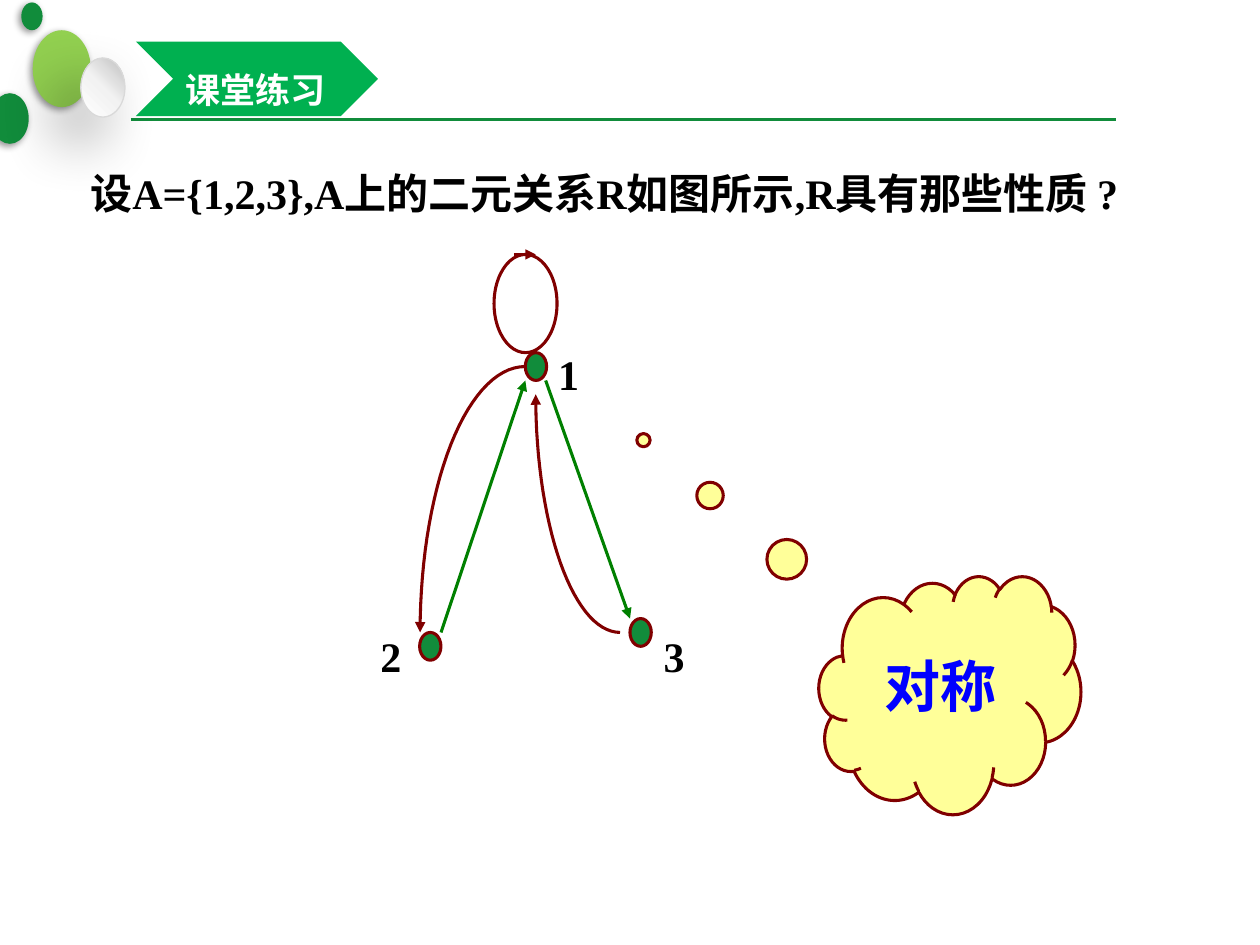
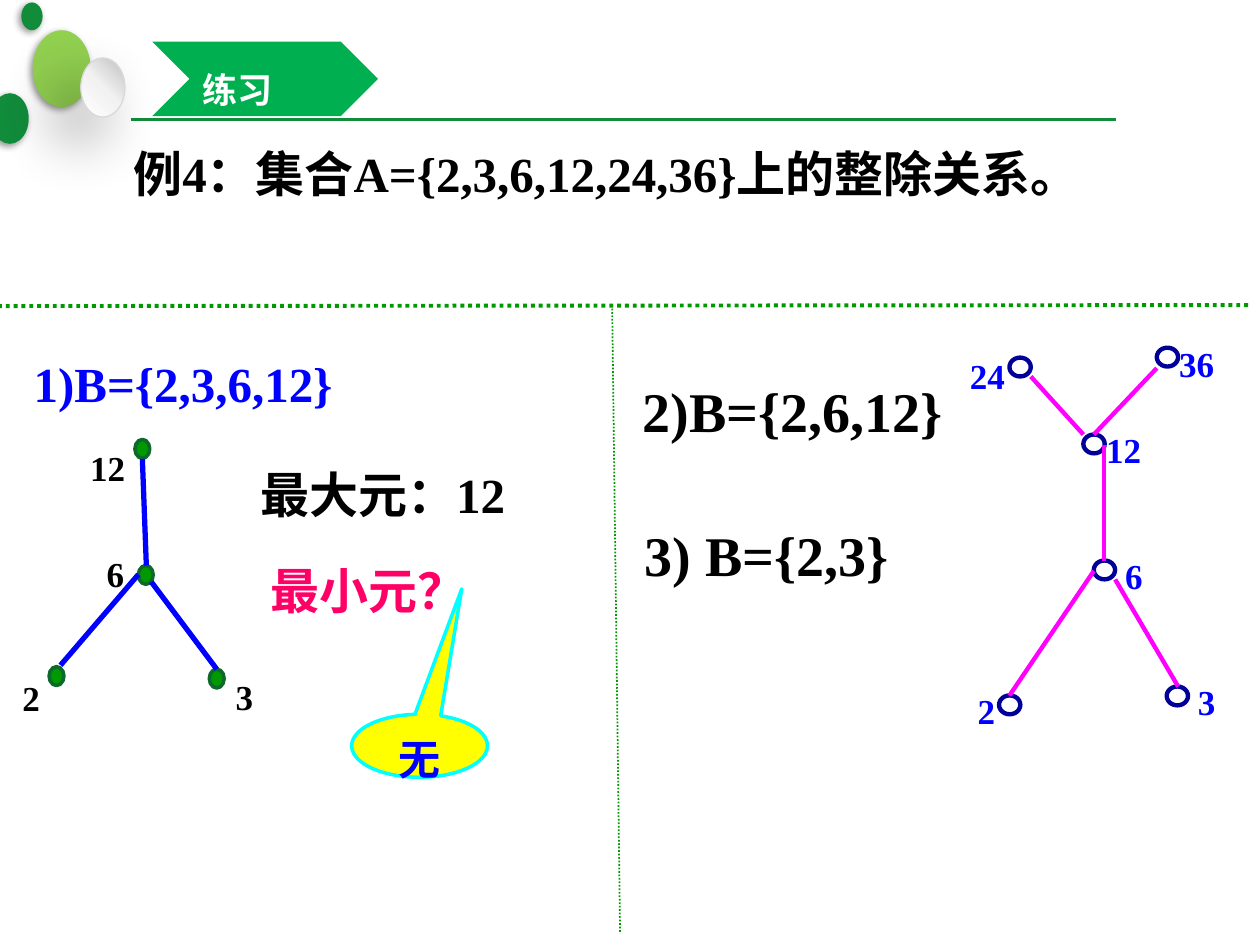
import math

import lxml.etree
import pptx
import pptx.dml.color
import pptx.enum.dml
import pptx.enum.shapes
import pptx.enum.text
import pptx.oxml
import pptx.oxml.ns
import pptx.util

Cm = pptx.util.Cm
qn = pptx.oxml.ns.qn
SHAPE = pptx.enum.shapes.MSO_SHAPE
STRAIGHT = pptx.enum.shapes.MSO_CONNECTOR.STRAIGHT
ALIGN = pptx.enum.text.PP_ALIGN
ANCHOR = pptx.enum.text.MSO_ANCHOR
DOTS = pptx.enum.dml.MSO_LINE.ROUND_DOT

HUES = {
    "black": "000000", "white": "FFFFFF", "blue": "0000FF", "navy": "000099",
    "green": "118C3B", "lime": "92D050", "banner": "00B050", "arrow": "008000",
    "dots": "009900", "forest": "0D682C", "maroon": "800000", "cream": "FFFF99",
    "yellow": "FFFF00", "cyan": "00FFFF", "pink": "FF0066", "magenta": "FF00FF",
    "silver": "D9D9D9", "pale": "F2F2F2", "gray": "BFBFBF",
}
SERIF, SANS = "Times New Roman", "Noto Sans CJK SC"
TINT = {name: pptx.dml.color.RGBColor.from_string(hue) for name, hue in HUES.items()}


def paint(item, fill=None, line=None, width=1.75, dash=None, tail=False):
    """Set fill, outline and arrowhead of a shape or connector, without shadow."""
    if hasattr(item, "fill"):
        if fill:
            item.fill.solid()
            item.fill.fore_color.rgb = TINT[fill]
        else:
            item.fill.background()
    if line:
        item.line.color.rgb = TINT[line]
        item.line.width = pptx.util.Pt(width)
        if dash:
            item.line.dash_style = dash
    else:
        item.line.fill.background()
    props = item.element.spPr
    if tail:
        lxml.etree.SubElement(props.find(qn("a:ln")), qn("a:tailEnd"), type="triangle")
    lxml.etree.SubElement(props, qn("a:effectLst"))
    return item


def write(item, text, size, hue="black", face=SERIF, align=ALIGN.LEFT,
          anchor=ANCHOR.TOP, wrap=True):
    """Fill a shape with one bold line of text at 1.5 line spacing."""
    frame = item.text_frame
    looks = {"word_wrap": wrap, "vertical_anchor": anchor,
             "auto_size": pptx.enum.text.MSO_AUTO_SIZE.NONE}
    for name, value in looks.items():
        setattr(frame, name, value)
    para = frame.paragraphs[0]
    para.alignment = align
    para.line_spacing = 1.5
    para.space_before = pptx.util.Pt(0)
    run = para.add_run()
    run.text = text
    for name, value in {"name": face, "size": pptx.util.Pt(size), "bold": True}.items():
        setattr(run.font, name, value)
    run.font.color.rgb = TINT[hue]
    for props in item.element.iter(qn("a:rPr")):
        lxml.etree.SubElement(props, qn("a:ea"), typeface=SANS)


deck = pptx.Presentation()
deck.slide_width, deck.slide_height = Cm(25.4), Cm(19.05)
layout = deck.slide_layouts[5]
graph, order = [deck.slides.add_slide(layout) for _ in range(2)]

# Shared decoration, moved to the layout
rule = graph.shapes.add_connector(STRAIGHT, *map(Cm, (2.64, 2.41, 22.5, 2.41)))
layout.shapes.element.append(paint(rule, line="green", width=1.25).element)
balls = [
    ((0.66, 0.61, 1.17, 1.55), "lime", None, 4, 2),
    ((-0.18, 1.88, 0.76, 1.02), "green", None, 4, 2),
    ((1.63, 1.17, 0.89, 1.19), "white", "silver", 35, 20),
    ((0.43, 0.05, 0.43, 0.56), "green", None, 4, 2),
]
for box, fill, line, blur, dist in balls:
    ball = graph.shapes.add_shape(SHAPE.OVAL, *map(Cm, box))
    paint(ball, fill, line, 0.75)
    if fill == "white":
        ball.fill.gradient()
        ball.fill.gradient_angle = 45
        stops = ball.element.spPr.find(qn("a:gradFill")).find(qn("a:gsLst"))
        stops.clear()
        for spot, hue in ((0, "white"), (50, "pale"), (100, "gray")):
            stop = lxml.etree.SubElement(stops, qn("a:gs"), pos=str(spot * 1000))
            lxml.etree.SubElement(stop, qn("a:srgbClr"), val=HUES[hue])
    shade = lxml.etree.SubElement(
        ball.element.spPr.find(qn("a:effectLst")), qn("a:outerShdw"),
        blurRad=str(pptx.util.Pt(blur)), dist=str(pptx.util.Pt(dist)),
        dir=str(135 * 60000), algn="ctr", rotWithShape="0")
    tone = lxml.etree.SubElement(shade, qn("a:srgbClr"), val=HUES["black"])
    lxml.etree.SubElement(tone, qn("a:alpha"), val="40000")
    layout.shapes.element.append(ball.element)

# Banner titles
notch = 0.75
for slide, text, left, width in ((graph, "课堂练习", 2.74, 4.88), (order, "练习", 3.07, 4.55)):
    banner = slide.shapes.add_shape(SHAPE.CHEVRON, *map(Cm, (left, 0.84, width, 1.5)))
    slide.shapes.element.insert(2, paint(banner, "banner").element)
    title = slide.shapes.title
    place = {"left": left + notch, "top": 0.84, "width": width - notch, "height": 1.5}
    for name, value in place.items():
        setattr(title, name, Cm(value))
    write(title, text, 20, "white", SANS, anchor=ANCHOR.MIDDLE)

# Slide 1: relation graph
shapes = graph.shapes
ask = shapes.add_textbox(*map(Cm, (1.57, 2.74, 23.2, 1.8)))
write(ask, "设A={1,2,3},A上的二元关系R如图所示,R具有那些性质 ?", 24)
dots = [
    ("1", 10.59, 7.11, 11, 6.4),
    ("2", 8.46, 12.75, 7.42, 12.07),
    ("3", 12.7, 12.47, 13.13, 12.07),
]
for name, x, y, left, top in dots:
    dot = shapes.add_shape(SHAPE.OVAL, *map(Cm, (x, y, 0.43, 0.56)))
    paint(dot, "green", "maroon")
    label = shapes.add_textbox(*map(Cm, (left, top, 0.94, 1.8)))
    write(label, name, 24, wrap=False)

loop = shapes.add_shape(SHAPE.OVAL, *map(Cm, (9.96, 5.13, 1.27, 1.98)))
paint(loop, line="maroon")
arrows = [
    ((8.89, 12.75, 10.59, 7.67), "arrow"),
    ((11, 7.67, 12.7, 12.47), "arrow"),
    ((10.36, 5.13, 10.8, 5.13), "maroon"),
]
for ends, hue in arrows:
    paint(shapes.add_connector(STRAIGHT, *map(Cm, ends)), line=hue, tail=True)

# Quarter ellipses: centre, then horizontal and signed vertical radius
steps = 30
for x, y, wide, high in ((12.5, 7.95, 1.7, 4.8), (10.59, 12.75, 2.12, -5.36)):
    turns = [math.pi / 2 * step / steps for step in range(steps + 1)]
    points = [(Cm(x - wide * math.sin(turn)), Cm(y + high * math.cos(turn)))
              for turn in turns]
    pen = shapes.build_freeform(*points[0])
    pen.add_line_segments(points[1:], close=False)
    paint(pen.convert_to_shape(), line="maroon", tail=True)

cloud = shapes.add_shape(SHAPE.CLOUD_CALLOUT, *map(Cm, (16.51, 11.61, 5.28, 4.8)))
cloud.adjustments[0], cloud.adjustments[1] = -1.17, -1.07
paint(cloud, "cream", "maroon")
write(cloud, "对称", 32, "blue", "Arial", ALIGN.CENTER)

# Slide 2: divisibility order
shapes = order.shapes
lines = [
    ("例4：集合A={2,3,6,12,24,36}上的整除关系。", 28, "black", (2.44, 2.18, 19.79, 2.06), False),
    ("1)B={2,3,6,12}", 28, "blue", (0.43, 6.4, 6.6, 2.06), False),
    ("最大元：12", 28, "black", (5, 8.64, 6.78, 2.06), True),
    ("最小元？", 28, "pink", (5.21, 10.59, 4.72, 2.06), True),
    ("2)B={2,6,12}", 32, "black", (12.7, 6.78, 8.51, 2.29), True),
    ("3) B={2,3}", 32, "black", (12.75, 9.7, 6.35, 2.29), True),
]
for text, size, hue, box, wrap in lines:
    write(shapes.add_textbox(*map(Cm, box)), text, size, hue, wrap=wrap)

reply = shapes.add_shape(SHAPE.OVAL_CALLOUT, *map(Cm, (7.09, 14.4, 2.74, 1.27)))
reply.adjustments[0], reply.adjustments[1] = 0.31, -2.49
paint(reply, "yellow", "cyan", 2)
write(reply, "无", 24, "blue", SANS, ALIGN.CENTER, ANCHOR.MIDDLE)

for ends, width in (((12.34, 6.15, 12.5, 18.82), 1), ((-0.2, 6.17, 25.2, 6.15), 2.25)):
    split = shapes.add_connector(STRAIGHT, *map(Cm, ends))
    paint(split, line="dots", width=width, dash=DOTS)

# Hasse diagrams; each node is name, x, y, label left, label top
trees = [
    {
        "kind": SHAPE.FLOWCHART_CONNECTOR, "size": (0.3, 0.38), "tall": 1.47,
        "node": {"fill": "dots", "line": "forest", "width": 2},
        "edge": {"line": "blue", "width": 3}, "hue": "black",
        "nodes": [
            ("2", 0.99, 13.44, 0.2, 13.08), ("3", 4.22, 13.49, 4.5, 13.06),
            ("6", 2.79, 11.4, 1.9, 10.59), ("12", 2.72, 8.86, 1.57, 8.46),
        ],
        "edges": [
            (1.22, 13.41, 2.79, 11.58), (4.37, 13.49, 3.05, 11.73),
            (2.95, 11.4, 2.87, 9.25),
        ],
    },
    {
        "kind": SHAPE.OVAL, "size": (0.43, 0.38), "tall": 1.4,
        "node": {"line": "navy", "width": 2.5},
        "edge": {"line": "magenta", "width": 2.5}, "hue": "blue",
        "nodes": [
            ("24", 20.35, 7.21, 19.3, 6.6), ("36", 23.32, 7.01, 23.52, 6.35),
            ("12", 21.84, 8.76, 22.05, 8.1), ("6", 22.05, 11.3, 22.43, 10.64),
            ("2", 20.14, 14.02, 19.46, 13.36), ("3", 23.52, 13.84, 23.9, 13.18),
        ],
        "edges": [
            (20.35, 14.02, 22.05, 11.51), (22.48, 11.68, 23.75, 13.84),
            (22.25, 11.3, 22.25, 8.97), (21.84, 8.76, 20.78, 7.59),
            (22.05, 8.76, 23.32, 7.42),
        ],
    },
]
for tree in trees:
    group = shapes.add_group_shape().shapes
    for name, x, y, left, top in tree["nodes"]:
        node = group.add_shape(tree["kind"], *map(Cm, (x, y, *tree["size"])))
        paint(node, **tree["node"])
        wide = 0.5 + 0.36 * len(name)
        label = group.add_textbox(*map(Cm, (left, top, wide, tree["tall"])))
        write(label, name, 20, tree["hue"], wrap=False)
    for ends in tree["edges"]:
        paint(group.add_connector(STRAIGHT, *map(Cm, ends)), **tree["edge"])

deck.save("out.pptx")
